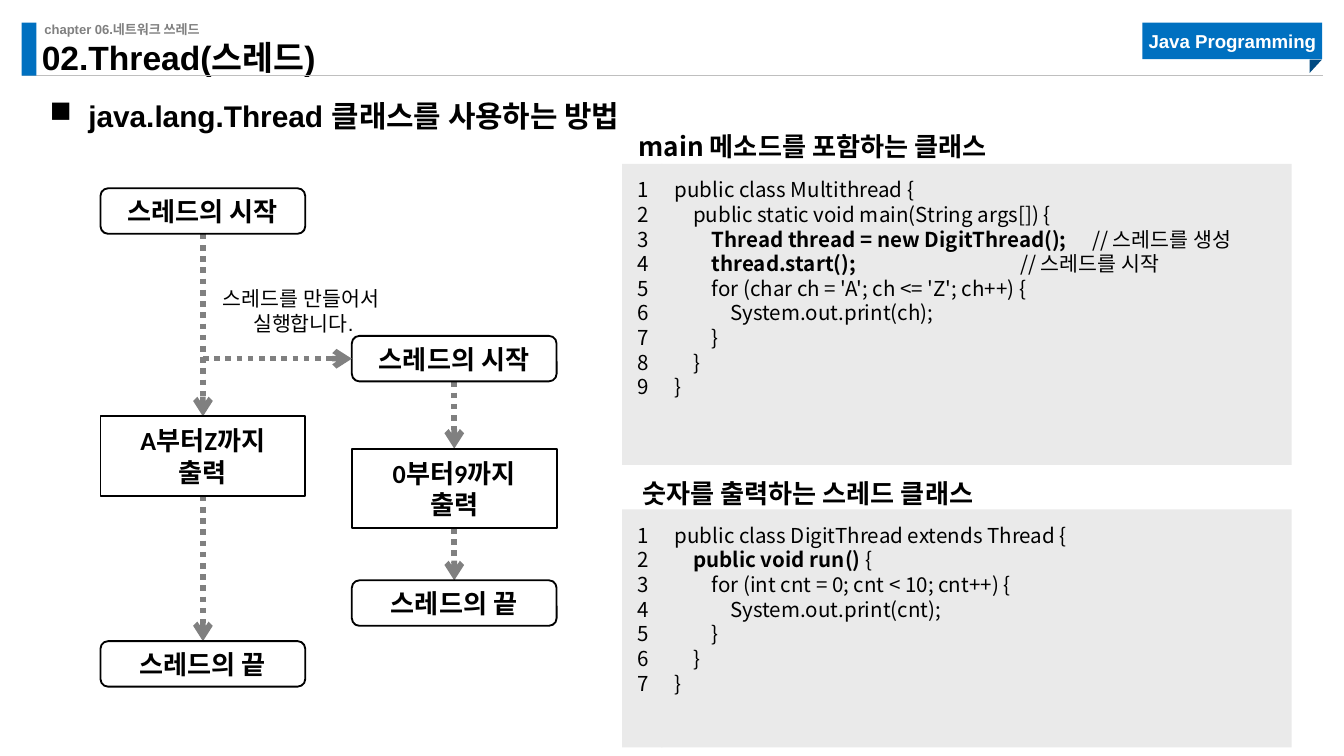
import pptx
import pptx.util
import pptx.dml.color
import pptx.enum.dml
import pptx.enum.shapes
import pptx.enum.text
import pptx.oxml
import pptx.oxml.ns
from dataclasses import dataclass
from lxml import etree

Cm = pptx.util.Cm
Pt = pptx.util.Pt
qn = pptx.oxml.ns.qn
SHAPE = pptx.enum.shapes.MSO_SHAPE
ALIGN = pptx.enum.text.PP_ALIGN
ANCHOR = pptx.enum.text.MSO_ANCHOR


@dataclass(frozen=True)
class Theme:
    blue: str = "0070C0"
    navy: str = "004A82"
    gray: str = "808080"
    rule: str = "BFBFBF"
    panel: str = "EAEAEA"
    black: str = "000000"
    white: str = "FFFFFF"
    sans: str = "Arial"
    flow: str = "Calibri"
    code: str = "Noto Sans CJK KR"
    tiny: float = 7
    badge: float = 10
    body: float = 11
    label: float = 14
    lead: float = 16
    title: float = 18


T = Theme()


def rgb(value):
    return pptx.dml.color.RGBColor.from_string(value)


def write(p, text, size=T.body, font=T.sans, color=T.black, bold=False, align=None, spacing=None):
    p.alignment = align
    if spacing:
        p.line_spacing = spacing
    for i, part in enumerate(text.split("\n")):
        if i:
            p.add_line_break()
        r = p.add_run()
        r.text = part
        r.font.size, r.font.name, r.font.bold = Pt(size), font, bold
        r.font.color.rgb = rgb(color)
        ea = etree.SubElement(r.font._element, qn("a:ea"))
        ea.set("typeface", T.code)


class Deck:
    def __init__(self):
        self.prs = pptx.Presentation()
        self.prs.slide_width, self.prs.slide_height = Cm(25.4), Cm(14.29)
        self.s = self.prs.slides.add_slide(self.prs.slide_layouts[5])

    def frame(self, sp, inset=None, anchor=ANCHOR.TOP, wrap=True):
        tf = sp.text_frame
        tf.word_wrap, tf.vertical_anchor = wrap, anchor
        tf.auto_size = pptx.enum.text.MSO_AUTO_SIZE.NONE
        if inset is not None:
            tf.margin_left = tf.margin_top = tf.margin_right = tf.margin_bottom = Cm(inset)
        return tf

    def title(self, text, x, y, w, h):
        sp = self.s.shapes.title
        sp.left, sp.top, sp.width, sp.height = Cm(x), Cm(y), Cm(w), Cm(h)
        tf = self.frame(sp, 0, ANCHOR.BOTTOM)
        write(tf.paragraphs[0], text, size=T.title, bold=True, align=ALIGN.LEFT, spacing=0.9)

    def text(self, text, x, y, w, h, inset=None, wrap=True, **style):
        sp = self.s.shapes.add_textbox(Cm(x), Cm(y), Cm(w), Cm(h))
        p = self.frame(sp, inset, wrap=wrap).paragraphs[0]
        write(p, text, **style)
        return p

    def bullet(self, text, x, y, w, h, indent):
        p = self.text(text, x, y, w, h, 0, size=T.lead, bold=True, spacing=1.5)
        pPr = p._p.get_or_add_pPr()
        pPr.set("marL", str(Cm(indent)))
        pPr.set("indent", str(-Cm(indent)))
        etree.SubElement(pPr, qn("a:buChar")).set("char", "■")

    def shape(self, kind, x, y, w, h, fill=None, line=None):
        sp = self.s.shapes.add_shape(kind, Cm(x), Cm(y), Cm(w), Cm(h))
        sp.shadow.inherit = False
        if fill:
            sp.fill.solid()
            sp.fill.fore_color.rgb = rgb(fill)
        else:
            sp.fill.background()
        if line:
            sp.line.color.rgb = rgb(line)
            sp.line.width = Pt(1)
        else:
            sp.line.fill.background()
        return sp

    def line(self, x1, y1, x2, y2, color, width):
        kind = pptx.enum.shapes.MSO_CONNECTOR.STRAIGHT
        c = self.s.shapes.add_connector(kind, Cm(x1), Cm(y1), Cm(x2), Cm(y2))
        c.line.color.rgb, c.line.width = rgb(color), Pt(width)
        etree.SubElement(c._element.spPr, qn("a:effectLst"))
        return c

    def arrow(self, x1, y1, x2, y2):
        c = self.line(x1, y1, x2, y2, T.gray, 3)
        c.line.dash_style = pptx.enum.dml.MSO_LINE.ROUND_DOT
        etree.SubElement(c.line._get_or_add_ln(), qn("a:tailEnd")).set("type", "arrow")

    def node(self, text, x, y, w, h, square=False):
        sp = self.shape(SHAPE.ROUNDED_RECTANGLE, x, y, w, h, line=T.black)
        if square:
            sp.adjustments[0] = 0
        p = self.frame(sp, anchor=ANCHOR.MIDDLE).paragraphs[0]
        write(p, text, size=T.label, font=T.flow, bold=True, align=ALIGN.CENTER)

    def panel(self, x, y, w, h):
        return self.frame(self.shape(SHAPE.RECTANGLE, x, y, w, h, fill=T.panel), 0.25)

    def code(self, lines, y, h):
        numbers, source = self.panel(11.76, y, 0.76, h), self.panel(12.5, y, 11.91, h)
        for i, (depth, strong, plain, stop) in enumerate(lines):
            n, p = [tf.add_paragraph() if i else tf.paragraphs[0] for tf in (numbers, source)]
            write(n, str(i + 1), font=T.code, align=ALIGN.RIGHT)
            write(p, "\t" * depth + strong, font=T.code, bold=True, align=ALIGN.LEFT)
            write(p, plain, font=T.code, align=ALIGN.LEFT)
            stops = [0.35 * k for k in range(1, depth + 1)] + ([stop] if stop else [])
            if stops:
                tabs = etree.SubElement(p._p.get_or_add_pPr(), qn("a:tabLst"))
            for pos in stops:
                tab = etree.SubElement(tabs, qn("a:tab"))
                tab.set("pos", str(Cm(pos)))
                tab.set("algn", "l")


deck = Deck()
deck.line(0.41, 1.43, 25, 1.43, T.rule, 0.5)
deck.shape(SHAPE.RECTANGLE, 0.41, 0.43, 0.28, 1, fill=T.blue)
deck.text("chapter 06.네트워크 쓰레드", 0.84, 0.41, 8.2, 0.3, 0, size=T.tiny, color=T.gray, bold=True)
badge = deck.shape(SHAPE.RECTANGLE, 21.59, 0.43, 3.4, 0.69, fill=T.blue)
write(deck.frame(badge, 0, ANCHOR.MIDDLE).paragraphs[0], "Java Programming",
      size=T.badge, color=T.white, bold=True, align=ALIGN.CENTER)
deck.shape(SHAPE.RIGHT_TRIANGLE, 24.74, 1.14, 0.25, 0.23, fill=T.navy).rotation = 90
deck.title("02.Thread(스레드)", 0.79, 0.89, 8.38, 0.58)
deck.bullet("java.lang.Thread 클래스를 사용하는 방법", 0.94, 1.5, 24.23, 0.84, 0.73)

NODE_W, CAP_H, STEP_H = 3.87, 0.86, 1.5
flows = [(1.9, 3.56, 7.87, 12.12, "A부터Z까지\n출력"),
         (6.65, 6.35, 8.48, 10.97, "0부터9까지\n출력")]
for x, start, step, end, job in flows:
    mid = x + NODE_W / 2
    deck.arrow(mid, start + CAP_H, mid, step)
    deck.arrow(mid, step + STEP_H, mid, end)
    deck.node("스레드의 시작", x, start, NODE_W, CAP_H)
    deck.node(job, x, step, NODE_W, STEP_H, square=True)
    deck.node("스레드의 끝", x, end, NODE_W, CAP_H)
main_x, branch_x, branch_y = flows[0][0], flows[1][0], flows[1][1] + CAP_H / 2
deck.arrow(main_x + NODE_W / 2, branch_y, branch_x, branch_y)
deck.text("스레드를 만들어서 \n실행합니다.", 3.78, 5.28, 3.91, 1.19, wrap=False, align=ALIGN.CENTER)

main_code = [
    (0, "", "public class Multithread {", None),
    (1, "", "public static void main(String args[]) {", None),
    (2, "Thread thread = new DigitThread();", "\t// 스레드를 생성", 7.89),
    (2, "thread.start();", "\t// 스레드를 시작", 6.53),
    (2, "", "for (char ch = 'A'; ch <= 'Z'; ch++) {", None),
    (3, "", "System.out.print(ch);", None),
    (2, "", "}", None),
    (1, "", "}", None),
    (0, "", "}", None),
]
digit_code = [
    (0, "", "public class DigitThread extends Thread {", None),
    (1, "public void run() ", "{", None),
    (2, "", "for (int cnt = 0; cnt < 10; cnt++) {", None),
    (3, "", "System.out.print(cnt);", None),
    (2, "", "}", None),
    (1, "", "}", None),
    (0, "", "}", None),
]
listings = [("main 메소드를 포함하는 클래스", 2.34, 7.7, main_code, 3.1, 5.69),
            ("숫자를 출력하는 스레드 클래스", 8.89, 7.52, digit_code, 9.63, 4.5)]
for label, label_y, label_w, lines, y, h in listings:
    deck.code(lines, y, h)
    deck.text(label, 11.51, label_y, label_w, 0.86, wrap=False,
              size=T.label, font=T.code, bold=True, align=ALIGN.CENTER)

deck.prs.save("out.pptx")
